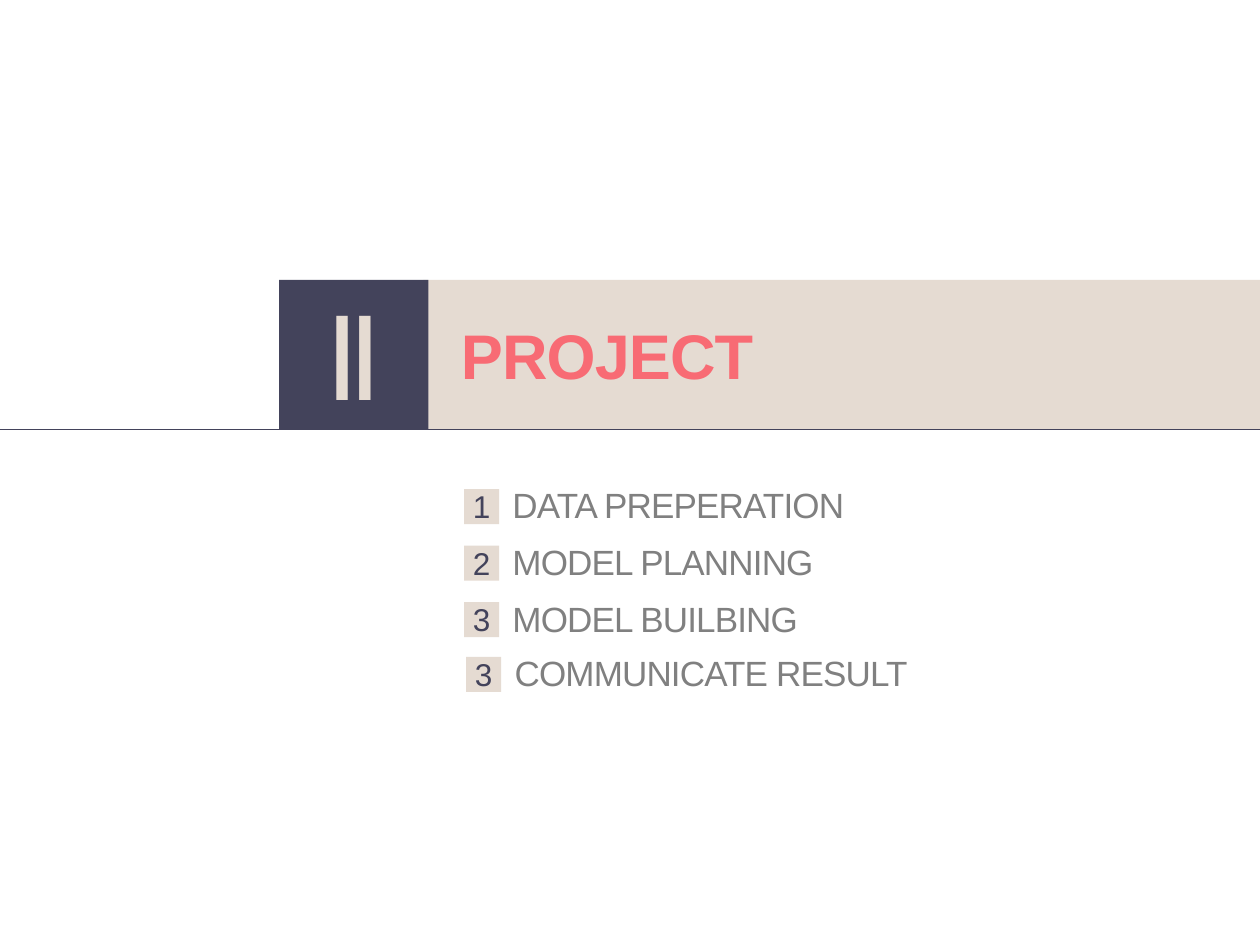
"""Build the section slide for the project chapter with its four topics."""
import pptx
import pptx.dml.color
import pptx.enum.shapes
import pptx.enum.text
import pptx.oxml
import pptx.util
import lxml.etree

Pt = pptx.util.Pt
ANCHOR = pptx.enum.text.MSO_ANCHOR
ALIGN = pptx.enum.text.PP_ALIGN
COLORS = {"navy": "43435B", "sand": "E5DBD2", "coral": "F86B74", "gray": "808080"}
TIGHT = {"margin_left": Pt(3), "margin_right": Pt(3), "margin_top": Pt(3),
         "margin_bottom": Pt(3.6), "vertical_anchor": ANCHOR.MIDDLE}
CENTERED = {"alignment": ALIGN.CENTER, "space_after": Pt(10)}


def add_block(left, top, width, height, color):
    shape = slide.shapes.add_shape(
        pptx.enum.shapes.MSO_SHAPE.RECTANGLE, Pt(left), Pt(top), Pt(width), Pt(height))
    shape.shadow.inherit = False
    shape.fill.solid()
    shape.fill.fore_color.rgb = pptx.dml.color.RGBColor.from_string(COLORS[color])
    shape.line.fill.background()
    return shape


def write_text(shape, text, size, color, frame_format, paragraph_format, bold=False):
    frame = shape.text_frame
    paragraph = frame.paragraphs[0]
    run = paragraph.add_run()
    run.text = text
    font_format = {"name": "Arial", "size": Pt(size), "bold": bold}
    for target, values in ((frame, {"word_wrap": True, **frame_format}),
                           (paragraph, paragraph_format), (run.font, font_format)):
        for name, value in values.items():
            setattr(target, name, value)
    run.font.color.rgb = pptx.dml.color.RGBColor.from_string(COLORS[color])
    run._r.get_or_add_rPr().set("spc", "-50")


presentation = pptx.Presentation()
presentation.slide_width, presentation.slide_height = Pt(720), Pt(540)
slide = presentation.slides.add_slide(presentation.slide_layouts[6])

baseline = slide.shapes.add_connector(
    pptx.enum.shapes.MSO_CONNECTOR.STRAIGHT, 0, Pt(245.4), Pt(720), Pt(245.4))
baseline.line.width = Pt(0.5)
baseline.line.color.rgb = pptx.dml.color.RGBColor.from_string(COLORS["navy"])
lxml.etree.SubElement(baseline._element.spPr, pptx.oxml.ns.qn("a:effectLst"))

add_block(242, 160, 478, 85.2, "sand")
add_block(159.6, 160, 85.2, 85.2, "navy")

title = slide.shapes.add_textbox(Pt(256.3), Pt(164.2), Pt(456.5), Pt(82))
write_text(title, "PROJECT", 36, "coral", {"vertical_anchor": ANCHOR.MIDDLE},
           {"line_spacing": 0.9}, bold=True)
numeral = slide.shapes.add_textbox(Pt(164.9), Pt(172), Pt(74.2), Pt(61.2))
write_text(numeral, "Ⅱ", 66, "sand", TIGHT, CENTERED)

topics = [
    ("1", "DATA PREPERATION", 265.2, 279.5),
    ("2", "MODEL PLANNING", 265.2, 311.8),
    ("3", "MODEL BUILBING", 265.2, 344.1),
    ("3", "COMMUNICATE RESULT", 266.4, 375.4),
]
for number, topic, left, top in topics:
    label = slide.shapes.add_textbox(Pt(left + 20.6), Pt(top - 6.5), Pt(283), Pt(31.5))
    write_text(label, topic, 20, "gray", {}, {"space_after": Pt(10)})
    badge = add_block(left, top, 20, 20, "sand")
    write_text(badge, number, 18, "navy", TIGHT, CENTERED)

presentation.save("out.pptx")
